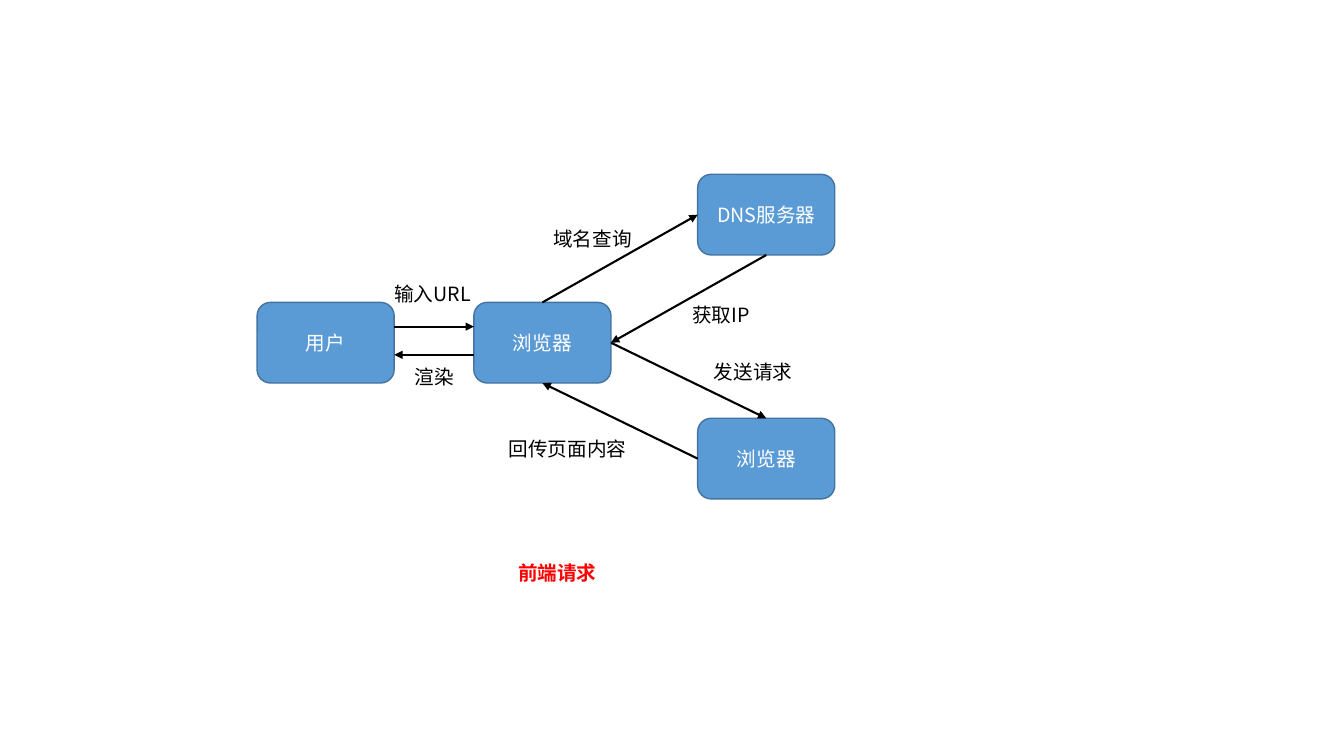
from lxml import etree
from pptx import Presentation
from pptx import util as u
from pptx.dml.color import RGBColor
from pptx.enum import shapes, text
from pptx.oxml import ns

PX = 9144  # EMU in one px, 100 px to the inch
FONT = "Noto Sans CJK SC"
BOX_WIDTH, BOX_HEIGHT = 136, 80
TOP, LEFT, BOTTOM, RIGHT = range(4)  # connection sites


def px(*lengths):
    return [u.Emu(length * PX) for length in lengths]


def color(code):
    return RGBColor.from_string(code)


def add_text(frame, words, code, align, bold=False):
    para = frame.paragraphs[0]
    para.alignment = align
    span = para.add_run()
    span.text = words
    span.font.size = u.Pt(14)
    span.font.name = FONT
    span.font.bold = bold
    span.font.color.rgb = color(code)
    east_asian = etree.SubElement(span.font._element, ns.qn("a:ea"))
    east_asian.set("typeface", FONT)


def add_box(page, left, top, words):
    box = page.shapes.add_shape(shapes.MSO_SHAPE.ROUNDED_RECTANGLE,
                                *px(left, top, BOX_WIDTH, BOX_HEIGHT))
    box.shadow.inherit = False
    box.fill.solid()
    box.fill.fore_color.rgb = color("5B9BD5")
    box.line.color.rgb = color("43739E")
    box.line.width = u.Pt(1)
    box.text_frame.vertical_anchor = text.MSO_ANCHOR.MIDDLE
    add_text(box.text_frame, words, "FFFFFF", text.PP_ALIGN.CENTER)
    return box


def add_label(page, left, top, width, words, code="000000",
              align=text.PP_ALIGN.CENTER, bold=False):
    label = page.shapes.add_textbox(*px(left, top, width, 34))
    label.text_frame.word_wrap = True
    label.text_frame.auto_size = text.MSO_AUTO_SIZE.SHAPE_TO_FIT_TEXT
    add_text(label.text_frame, words, code, align, bold)


def add_arrow(page, x1=0, y1=0, x2=0, y2=0):
    arrow = page.shapes.add_connector(shapes.MSO_CONNECTOR.STRAIGHT,
                                      *px(x1, y1, x2, y2))
    arrow.line.color.rgb = color("000000")
    arrow.line.width = u.Pt(1.5)
    head = etree.SubElement(arrow.line._get_or_add_ln(), ns.qn("a:tailEnd"))
    head.set("type", "triangle")
    etree.SubElement(arrow._element.spPr, ns.qn("a:effectLst"))
    return arrow


def join(page, source, source_side, target, target_side):
    arrow = add_arrow(page)
    arrow.begin_connect(source, source_side)
    arrow.end_connect(target, target_side)


def main():
    deck = Presentation()
    deck.slide_width, deck.slide_height = px(1333, 750)
    page = deck.slides.add_slide(deck.slide_layouts[6])

    # Parties
    user_left, browser_left, server_left, middle_top = 255, 470, 692, 300
    add_box(page, user_left, middle_top, "用户")
    browser = add_box(page, browser_left, middle_top, "浏览器")
    dns = add_box(page, server_left, 173, "DNS服务器")
    server = add_box(page, server_left, 415, "浏览器")

    # Requests and replies between the browser and the servers
    join(page, browser, TOP, dns, LEFT)
    join(page, dns, BOTTOM, browser, RIGHT)
    join(page, browser, RIGHT, server, TOP)
    join(page, server, LEFT, browser, BOTTOM)

    # Exchange between the user and the browser
    user_right = user_left + BOX_WIDTH
    add_arrow(page, user_right, 324, browser_left, 324)
    add_arrow(page, browser_left, 352, user_right, 352)

    # Step labels
    add_label(page, 539, 220, 117, "域名查询", align=text.PP_ALIGN.LEFT)
    for left, top, width, words in [
        (672, 296, 86, "获取IP"),
        (692, 352, 110, "发送请求"),
        (487, 429, 152, "回传页面内容"),
        (392, 357, 77, "渲染"),
        (381, 275, 96, "输入URL"),
    ]:
        add_label(page, left, top, width, words)

    # Caption
    add_label(page, 504, 552, 117, "前端请求", "FF0000",
              text.PP_ALIGN.LEFT, bold=True)

    deck.save("out.pptx")


if __name__ == "__main__":
    main()
